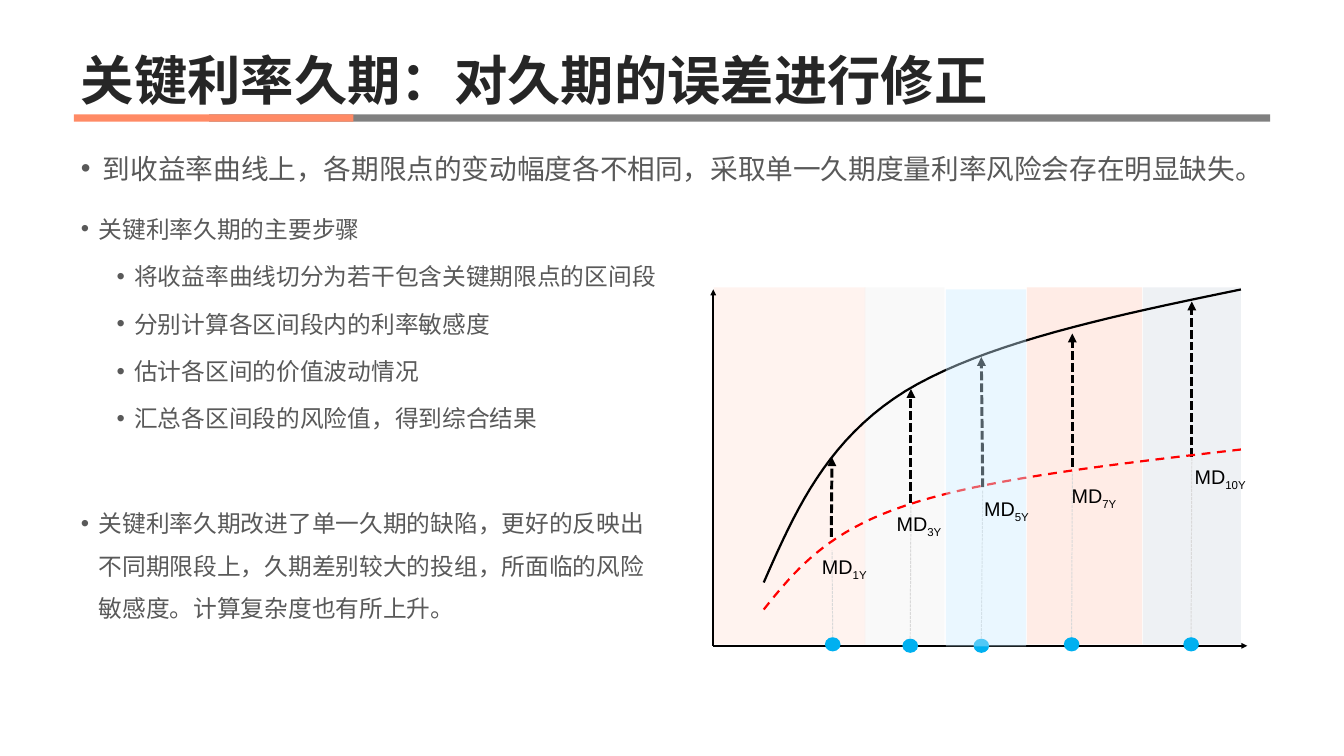
import pptx
import pptx.util
import pptx.dml.color
import pptx.enum.dml
import pptx.enum.shapes
import pptx.enum.text
import pptx.oxml
import pptx.oxml.ns
from dataclasses import dataclass
from pptx.util import Inches, Pt

TITLE = "关键利率久期：对久期的误差进行修正"
LEAD = "到收益率曲线上，各期限点的变动幅度各不相同，采取单一久期度量利率风险会存在明显缺失。"
POINTS = [
    (0, 0, "关键利率久期的主要步骤"),
    (1, 5, "将收益率曲线切分为若干包含关键期限点的区间段"),
    (1, 5, "分别计算各区间段内的利率敏感度"),
    (1, 5, "估计各区间的价值波动情况"),
    (1, 5, "汇总各区间段的风险值，得到综合结果"),
    (0, 63, "关键利率久期改进了单一久期的缺陷，更好的反映出不同期限段上，"
            "久期差别较大的投组，所面临的风险敏感度。计算复杂度也有所上升。"),
]
RULES = [(2.94, 14.92, "808080"), (1.04, 3.93, "FF8A65")]
BANDS = [
    (10.04, 2.13, "FFE2D9"),
    (12.16, 1.12, "F0F0F0"),
    (14.44, 1.62, "FFD0C1"),
    (16.07, 1.38, "D6DCE5"),
]
BAND_TOP, BAND_HEIGHT = 4.04, 5.02
FRONT_BAND = (13.3, 1.13, "CCECFF")
FRONT_TOP = 4.07
ORIGIN = (10.03, 9.08)
AXIS_ENDS = [(10.03, 4.07), (17.54, 9.08)]
UPPER_CURVE = [
    [(10.74, 8.19), (11.18, 7.19), (11.62, 6.19), (12.73, 5.5)],
    [(12.73, 5.5), (13.85, 4.82), (15.65, 4.44), (17.45, 4.07)],
]
LOWER_CURVE = [
    [(10.74, 8.57), (11.18, 8.02), (11.62, 7.48), (12.73, 7.11)],
    [(12.73, 7.11), (13.85, 6.73), (15.65, 6.53), (17.45, 6.32)],
]
# tenor, dot centre, guide top, arrow start, arrow end, label corner
TENORS = [
    ("1Y", (11.71, 9.06), (11.7, 7.74), (11.69, 7.55), (11.7, 6.43), (11.46, 7.75)),
    ("3Y", (12.8, 9.08), (12.81, 7.12), (12.81, 7.07), (12.81, 5.47), (12.51, 7.14)),
    ("5Y", (13.8, 9.08), (13.82, 6.9), (13.82, 6.85), (13.8, 5.02), (13.74, 6.94)),
    ("7Y", (15.07, 9.06), (15.08, 6.64), (15.08, 6.56), (15.08, 4.69), (14.97, 6.75)),
    ("10Y", (16.75, 9.06), (16.76, 6.32), (16.76, 6.43), (16.76, 4.24), (16.7, 6.49)),
]
DOT_WIDTH, DOT_HEIGHT = 0.22, 0.2
CURVE_STEPS = 20


@dataclass(frozen=True)
class Theme:
    heading_font: str = "Noto Sans CJK SC"
    label_font: str = "Arial"
    title: str = "262626"
    body: str = "595959"
    ink: str = "000000"
    shifted: str = "FF0000"
    guide: str = "D9D9D9"
    dot: str = "00B0F0"
    title_size: int = 54
    lead_size: int = 28
    body_size: int = 24
    label_size: int = 20
    lead_pitch: int = 50
    body_pitch: int = 43


THEME = Theme()
DASH = pptx.enum.dml.MSO_LINE
SHAPE = pptx.enum.shapes.MSO_SHAPE
ANCHOR = pptx.enum.text.MSO_ANCHOR


def rgb(code):
    return pptx.dml.color.RGBColor.from_string(code)


def add_node(parent, tag, **attributes):
    node = pptx.oxml.ns.qn(tag)
    child = parent.makeelement(node, attributes)
    parent.append(child)
    return child


def add_filled(page, preset, at, color, alpha=None):
    shape = page.shapes.add_shape(preset, *map(Inches, at))
    shape.shadow.inherit = False
    shape.fill.solid()
    shape.fill.fore_color.rgb = rgb(color)
    shape.line.fill.background()
    if alpha:
        fill = shape._element.spPr.find(pptx.oxml.ns.qn("a:solidFill"))
        add_node(fill[0], "a:alpha", val=str(alpha * 1000))


def add_band(page, band, top):
    left, width, color = band
    add_filled(page, SHAPE.RECTANGLE, (left, top, width, BAND_HEIGHT), color, 40)


def style_line(line, color, width, dash=None):
    line.color.rgb = rgb(color)
    line.width = Pt(width)
    if dash:
        line.dash_style = dash


def add_line(page, start, end, color, width, dash=None, arrow=False):
    line = page.shapes.add_connector(
        pptx.enum.shapes.MSO_CONNECTOR.STRAIGHT, *map(Inches, start + end))
    style_line(line.line, color, width, dash)
    if arrow:
        add_node(line.line._get_or_add_ln(), "a:tailEnd", type="triangle")
    add_node(line._element.spPr, "a:effectLst")


def curve_point(controls, t):
    weights = ((1 - t) ** 3, 3 * t * (1 - t) ** 2, 3 * t * t * (1 - t), t ** 3)
    return tuple(Inches(sum(w * point[axis] for w, point in zip(weights, controls)))
                 for axis in (0, 1))


def add_curve(page, segments, color, dash=None):
    builder = page.shapes.build_freeform(*map(Inches, segments[0][0]))
    builder.add_line_segments(
        [curve_point(controls, step / CURVE_STEPS)
         for controls in segments for step in range(1, CURVE_STEPS + 1)], close=False)
    curve = builder.convert_to_shape()
    curve.shadow.inherit = False
    curve.fill.background()
    style_line(curve.line, color, 2.25, dash)


def add_box(page, at, anchor=ANCHOR.TOP):
    frame = page.shapes.add_textbox(*map(Inches, at)).text_frame
    frame.word_wrap = True
    frame.vertical_anchor = anchor
    return frame


def style_para(para, font, size, color, bold=False):
    para.font.name = font
    para.font.size = Pt(size)
    para.font.bold = bold
    para.font.color.rgb = rgb(color)
    defaults = para._p.pPr.find(pptx.oxml.ns.qn("a:defRPr"))
    add_node(defaults, "a:ea", typeface=font)
    return defaults


def write_bullet(para, text, size, pitch, margin, hang, before=0):
    para.text = text
    defaults = style_para(para, THEME.heading_font, size, THEME.body)
    para.line_spacing = Pt(pitch)
    para.space_before = Pt(before)
    properties = para._p.pPr
    properties.set("marL", str(Inches(margin)))
    properties.set("indent", str(Inches(-hang)))
    defaults.addprevious(add_node(properties, "a:buFont", typeface=THEME.label_font))
    defaults.addprevious(add_node(properties, "a:buChar", char="•"))


def add_text(page):
    para = add_box(page, (1.04, 0, 16.91, 1.62), ANCHOR.BOTTOM).paragraphs[0]
    para.text = TITLE
    para.line_spacing = 0.9
    style_para(para, THEME.heading_font, THEME.title_size, THEME.title, True)
    lead = add_box(page, (1.04, 1.64, 16.91, 1.01), ANCHOR.BOTTOM).paragraphs[0]
    write_bullet(lead, LEAD, THEME.lead_size, THEME.lead_pitch, 0.31, 0.31)
    frame = add_box(page, (1.04, 2.77, 8.41, 7.55))
    for index, (level, before, text) in enumerate(POINTS):
        para = frame.add_paragraph() if index else frame.paragraphs[0]
        para.level = level
        write_bullet(para, text, THEME.body_size, THEME.body_pitch,
                     0.25 + 0.5 * level, 0.25, before)


def add_diagram(page):
    for band in BANDS:
        add_band(page, band, BAND_TOP)
    for end in AXIS_ENDS:
        add_line(page, ORIGIN, end, THEME.ink, 1.5, arrow=True)
    add_curve(page, UPPER_CURVE, THEME.ink)
    for _, (x, y), guide_top, start, end, _ in TENORS:
        top = y - DOT_HEIGHT / 2
        add_filled(page, SHAPE.OVAL, (x - DOT_WIDTH / 2, top, DOT_WIDTH, DOT_HEIGHT),
                   THEME.dot)
        add_line(page, (x, top), guide_top, THEME.guide, 1, DASH.SQUARE_DOT)
        add_line(page, start, end, THEME.ink, 3, DASH.SQUARE_DOT, True)
    add_curve(page, LOWER_CURVE, THEME.shifted, DASH.DASH)
    add_band(page, FRONT_BAND, FRONT_TOP)
    for tenor, *_, corner in TENORS:
        para = add_box(page, corner + (1.45, 0.44)).paragraphs[0]
        style_para(para, THEME.label_font, THEME.label_size, THEME.ink)
        para.add_run().text = "MD"
        span = para.add_run()
        span.text = tenor
        span._r.get_or_add_rPr().set("baseline", "-25000")


def main():
    deck = pptx.Presentation()
    deck.slide_width, deck.slide_height = Inches(18.9), Inches(10.63)
    page = deck.slides.add_slide(deck.slide_layouts[6])
    for left, width, color in RULES:
        add_filled(page, SHAPE.RECTANGLE, (left, 1.61, width, 0.1), color)
    add_text(page)
    add_diagram(page)
    deck.save("out.pptx")


if __name__ == "__main__":
    main()
